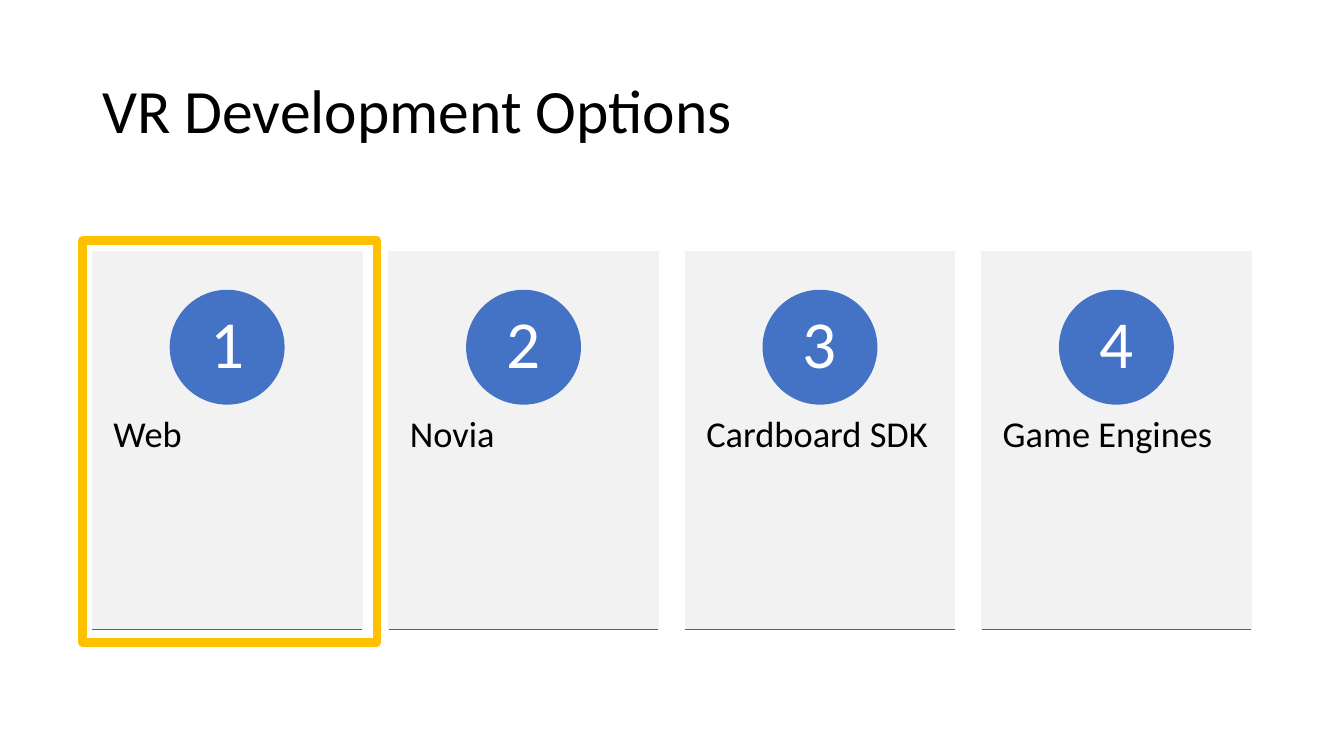
import pptx
import pptx.util
import pptx.dml.color
import pptx.enum.shapes
import pptx.enum.text
import pptx.oxml
import pptx.oxml.ns

Cm = pptx.util.Cm
Pt = pptx.util.Pt
RGBColor = pptx.dml.color.RGBColor
SHAPE = pptx.enum.shapes.MSO_SHAPE
ALIGN = pptx.enum.text.PP_ALIGN
ANCHOR = pptx.enum.text.MSO_ANCHOR

BLACK = RGBColor(0x00, 0x00, 0x00)
WHITE = RGBColor(0xFF, 0xFF, 0xFF)
PALE_GREY = RGBColor(0xF2, 0xF2, 0xF2)
RULE_GREY = RGBColor(0x60, 0x60, 0x60)
BLUE = RGBColor(0x44, 0x72, 0xC4)
AMBER = RGBColor(0xFF, 0xC0, 0x00)

OPTIONS = ["Web", "Novia", "Cardboard SDK", "Game Engines"]
LEFT, CARD_TOP = 2.33, 6.35
CARD_WIDTH, CARD_HEIGHT, CARD_STEP = 6.79, 9.5, 7.47
LABEL_TOP, LABEL_HEIGHT = 9.98, 5.72
BADGE_TOP, BADGE_SIZE = 7.32, 2.86
RULE_TOP = 15.87


class SlidePainter:
    """Holds the text style and the current slide; lengths are in centimetres."""

    font_name = "Calibri"
    line_spacing = 0.9

    def __init__(self, page):
        self.page = page

    def set_text(self, shape, text, size, color, align, anchor, inset):
        frame = shape.text_frame
        frame.text = text
        frame.word_wrap = True
        frame.vertical_anchor = anchor
        frame.margin_left = frame.margin_right = Cm(inset[0])
        frame.margin_top = frame.margin_bottom = Cm(inset[1])
        para = frame.paragraphs[0]
        para.alignment = align
        para.line_spacing = self.line_spacing
        font = para.runs[0].font
        font.name = self.font_name
        font.size = Pt(size)
        font.color.rgb = color

    def text(self, left, top, width, height, text, size,
             anchor=ANCHOR.TOP, inset=(0.25, 0.13)):
        box = self.page.shapes.add_textbox(Cm(left), Cm(top), Cm(width), Cm(height))
        self.set_text(box, text, size, BLACK, ALIGN.LEFT, anchor, inset)

    def shape(self, kind, left, top, width, height, line, fill=None, weight=1):
        shape = self.page.shapes.add_shape(
            kind, Cm(left), Cm(top), Cm(width), Cm(height))
        shape.shadow.inherit = False
        if fill is None:
            shape.fill.background()
        else:
            shape.fill.solid()
            shape.fill.fore_color.rgb = fill
        shape.line.color.rgb = line
        shape.line.width = Pt(weight)
        return shape

    def badge(self, left, top, size, number):
        circle = self.shape(SHAPE.OVAL, left, top, size, size, BLUE, BLUE)
        self.set_text(circle, str(number), 48, WHITE, ALIGN.CENTER,
                      ANCHOR.MIDDLE, (0, 0))

    def rule(self, left, top, width):
        line = self.page.shapes.add_connector(
            pptx.enum.shapes.MSO_CONNECTOR.STRAIGHT,
            Cm(left), Cm(top), Cm(left + width), Cm(top))
        line.line.color.rgb = RULE_GREY
        line.line.width = Pt(0.75)
        properties = line._element.spPr
        properties.append(pptx.oxml.parse_xml(
            "<a:effectLst %s/>" % pptx.oxml.ns.nsdecls("a")))

    def card(self, left, number, label):
        self.shape(SHAPE.RECTANGLE, left, CARD_TOP, CARD_WIDTH, CARD_HEIGHT,
                   PALE_GREY, PALE_GREY)
        self.text(left, LABEL_TOP, CARD_WIDTH, LABEL_HEIGHT, label, 26,
                  inset=(0.53, 0.91))
        self.badge(left + (CARD_WIDTH - BADGE_SIZE) / 2, BADGE_TOP,
                   BADGE_SIZE, number)
        self.rule(left, RULE_TOP, CARD_WIDTH)


def main():
    deck = pptx.Presentation()
    deck.slide_width = Cm(33.87)
    deck.slide_height = Cm(19.05)
    painter = SlidePainter(deck.slides.add_slide(deck.slide_layouts[6]))

    painter.text(LEFT, 1.01, 29.21, 3.68, "VR Development Options", 44,
                 anchor=ANCHOR.MIDDLE)
    for index, label in enumerate(OPTIONS):
        painter.card(LEFT + index * CARD_STEP, index + 1, label)
    painter.shape(SHAPE.RECTANGLE, 2.08, 6.06, 7.42, 10.13, AMBER, weight=6)

    deck.save("out.pptx")


if __name__ == "__main__":
    main()
